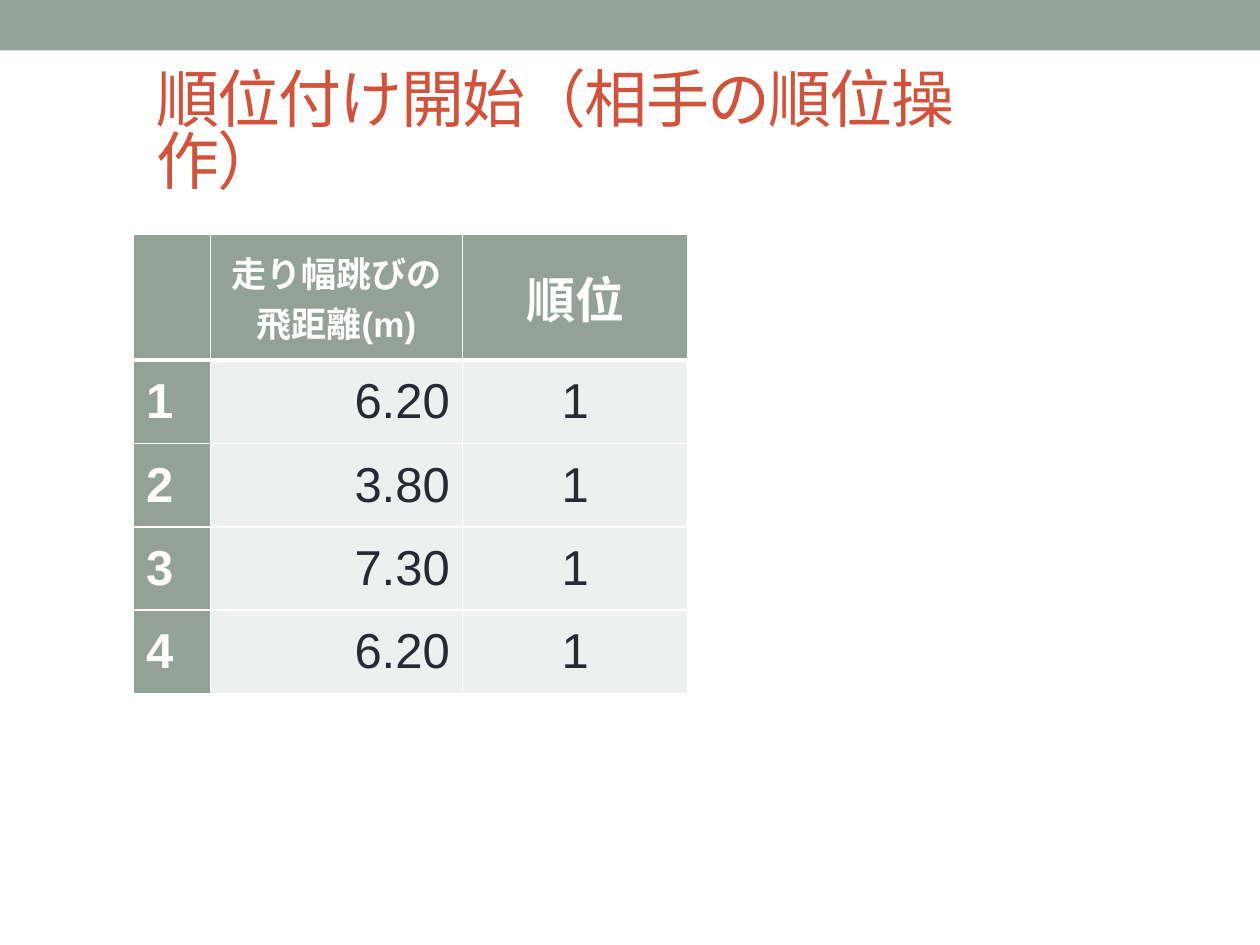
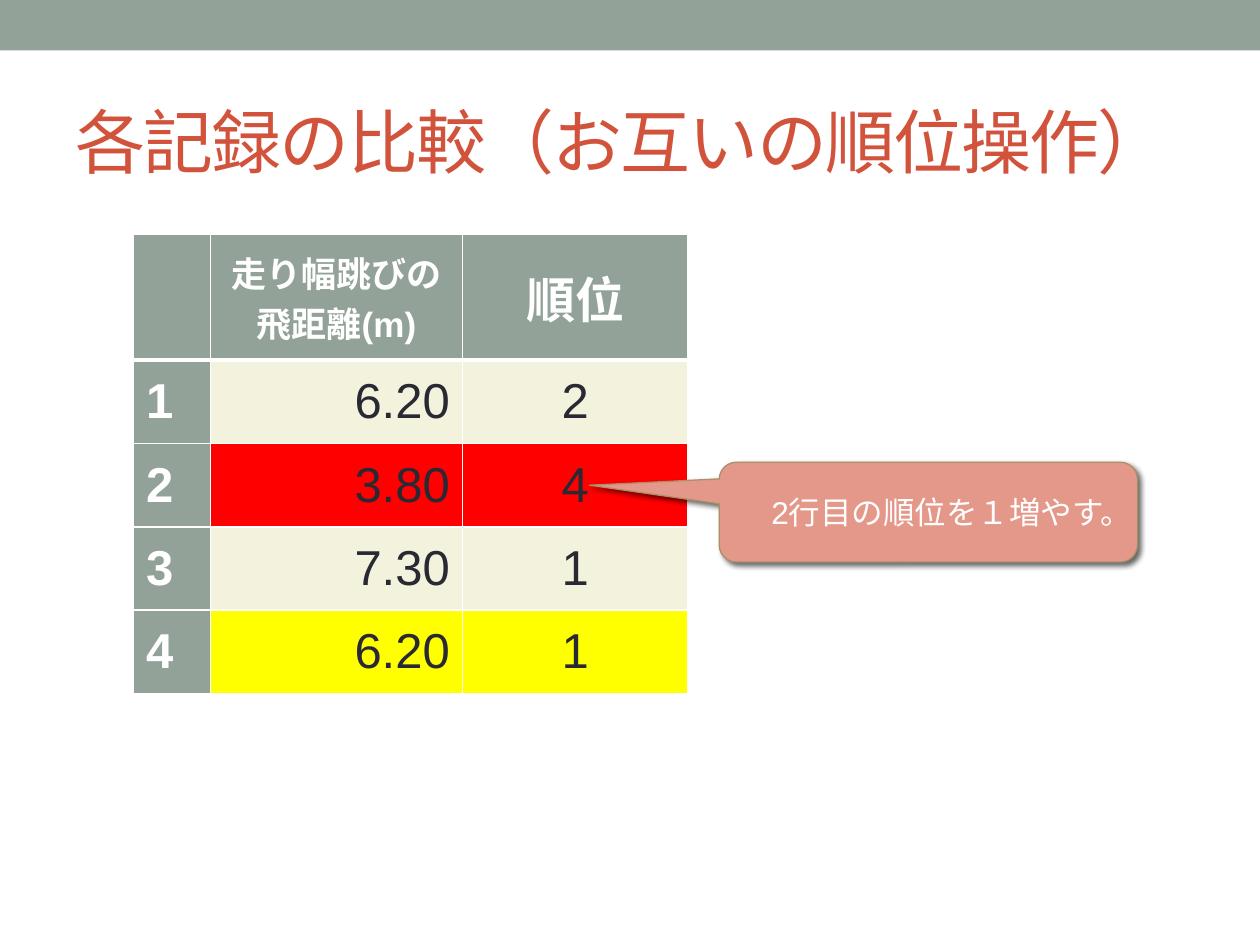
from lxml import etree
from pptx import Presentation
from pptx import util as u
from pptx.dml.color import RGBColor
from pptx.enum import shapes, text
from pptx.oxml import parse_xml
from pptx.oxml.ns import nsdecls, qn

Cm, Pt = u.Cm, u.Pt
FONT = "Arial"
COLORS = {
    "band": "93A299", "title": "D2533C", "text": "292934", "white": "FFFFFF",
    "plain": "EEF0EF", "cream": "F3F2DC", "red": "FF0000", "yellow": "FFFF00",
    "callout": "E4988A", "outline": "AD8F67", "shadow": "000000",
}
HEADER = [("", 28), ("走り幅跳びの\n飛距離(m)", 20), ("順位", 28)]
DISTANCES = ["6.20", "3.80", "7.30", "6.20"]
SLIDES = [
    {
        "title": "順位付け開始（相手の順位操作）",
        "title_box": (2.9, 1.52, 17.8, 2.39), "title_size": 36, "spacing": 0.83,
        "ranks": [1, 1, 1, 1], "fills": ["plain"] * 4,
    },
    {
        "title": "各記録の比較（お互いの順位操作）",
        "title_box": (1.27, 1.47, 22.86, 2.74), "title_size": 40, "spacing": 1.0,
        "ranks": [2, 4, 1, 1], "fills": ["cream", "red", "cream", "yellow"],
        "callout": "2行目の順位を１増やす。",
    },
]
TABLE_LEFT, TABLE_TOP = 2.69, 4.72
COL_WIDTHS = [1.55, 5.08, 4.55]
ROW_HEIGHTS = [2.54] + [1.68] * len(DISTANCES)
CALLOUT_BOX = (14.5, 9.32, 8.43, 2.01)
CALLOUT_ADJ = (-0.81, -0.27, 0.17)
ALIGN = [text.PP_ALIGN.LEFT, text.PP_ALIGN.RIGHT, text.PP_ALIGN.CENTER]


def rgb(name):
    return RGBColor.from_string(COLORS[name])


def paint(obj, color):
    obj.fill.solid()
    obj.fill.fore_color.rgb = rgb(color)


def write(tf, content, size, color, bold=False, align=text.PP_ALIGN.LEFT):
    tf.text = content
    for p in tf.paragraphs:
        p.alignment = align
        p.font.name, p.font.size, p.font.bold = FONT, Pt(size), bold
        p.font.color.rgb = rgb(color)


def add_band(s, width):
    sp = s.shapes.add_shape(shapes.MSO_SHAPE.RECTANGLE, 0, 0, width, Cm(1.02))
    sp.shadow.inherit = False
    paint(sp, "band")
    sp.line.fill.background()


def add_title(s, data):
    tf = s.shapes.add_textbox(*map(Cm, data["title_box"])).text_frame
    tf.word_wrap = True
    tf.vertical_anchor = text.MSO_ANCHOR.MIDDLE
    write(tf, data["title"], data["title_size"], "title")
    p = tf.paragraphs[0]
    p.line_spacing = data["spacing"]
    p.runs[0].font._element.set("spc", "-100")


def set_borders(cell, top, bottom):
    tc_pr = cell._tc.get_or_add_tcPr()
    for side, width in zip("LRTB", (1, 1, top, bottom)):
        ln = etree.SubElement(tc_pr, qn(f"a:ln{side}"), w=str(Pt(width)))
        fill = etree.SubElement(ln, qn("a:solidFill"))
        etree.SubElement(fill, qn("a:srgbClr"), val=COLORS["white"])


def add_ranking(s, data):
    body = zip(range(1, len(DISTANCES) + 1), DISTANCES, data["ranks"])
    rows = [HEADER] + [[(str(v), 28) for v in row] for row in body]
    tbl = s.shapes.add_table(len(rows), len(COL_WIDTHS), Cm(TABLE_LEFT), Cm(TABLE_TOP),
                             Cm(sum(COL_WIDTHS)), Cm(sum(ROW_HEIGHTS))).table
    for col, width in zip(tbl.columns, COL_WIDTHS):
        col.width = Cm(width)
    for row, height in zip(tbl.rows, ROW_HEIGHTS):
        row.height = Cm(height)
    for i, row in enumerate(rows):
        for j, (content, size) in enumerate(row):
            cell = tbl.cell(i, j)
            heading = i == 0 or j == 0
            set_borders(cell, 3 if i == 1 else 1, 3 if i == 0 else 1)
            paint(cell, "band" if heading else data["fills"][i - 1])
            cell.vertical_anchor = text.MSO_ANCHOR.MIDDLE
            write(cell.text_frame, content, size, "white" if heading else "text",
                  heading, text.PP_ALIGN.CENTER if i == 0 else ALIGN[j])


def add_callout(s, content):
    sp = s.shapes.add_shape(shapes.MSO_SHAPE.ROUNDED_RECTANGULAR_CALLOUT,
                            *map(Cm, CALLOUT_BOX))
    for k, value in enumerate(CALLOUT_ADJ):
        sp.adjustments[k] = value
    paint(sp, "callout")
    sp.line.color.rgb = rgb("outline")
    sp.line.width = Pt(0.75)
    sp._element.spPr.append(parse_xml(
        f'<a:effectLst {nsdecls("a")}><a:outerShdw blurRad="{Pt(3)}" dist="{Pt(2)}" '
        f'dir="2700000" rotWithShape="0"><a:srgbClr val="{COLORS["shadow"]}">'
        '<a:alpha val="60000"/></a:srgbClr></a:outerShdw></a:effectLst>'))
    tf = sp.text_frame
    tf.word_wrap = True
    tf.margin_left = Cm(0.95)
    tf.vertical_anchor = text.MSO_ANCHOR.MIDDLE
    write(tf, content, 18, "white")


def main():
    prs = Presentation()
    prs.slide_width, prs.slide_height = Cm(25.4), Cm(19.05)
    for data in SLIDES:
        s = prs.slides.add_slide(prs.slide_layouts[6])
        add_band(s, prs.slide_width)
        add_title(s, data)
        add_ranking(s, data)
        if "callout" in data:
            add_callout(s, data["callout"])
    prs.save("out.pptx")


if __name__ == "__main__":
    main()
